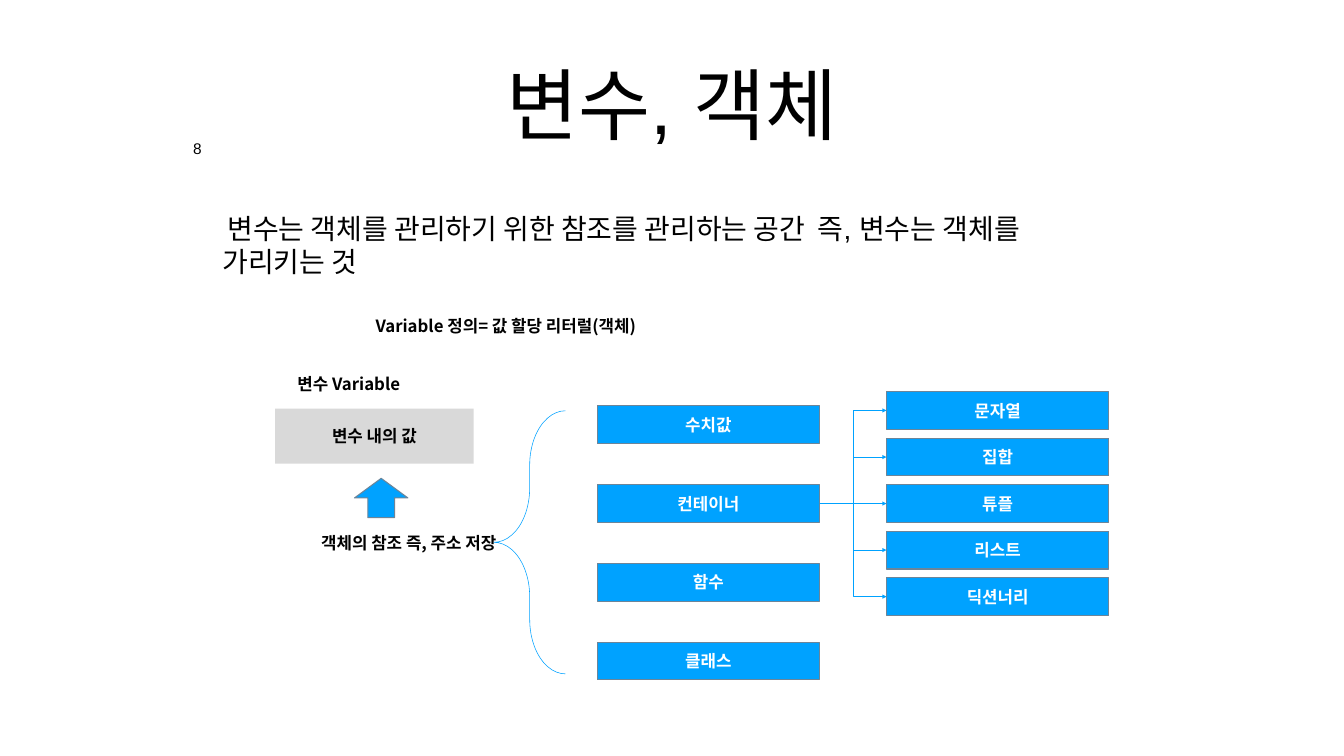
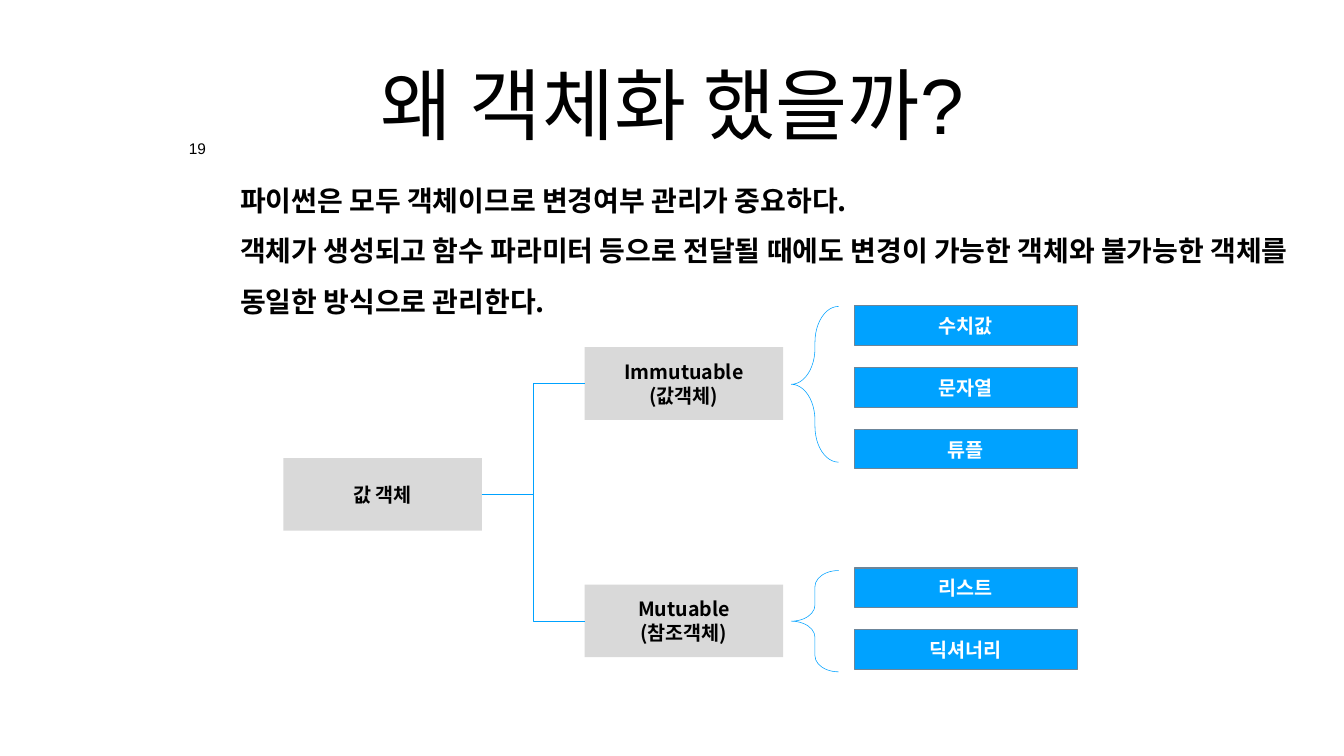
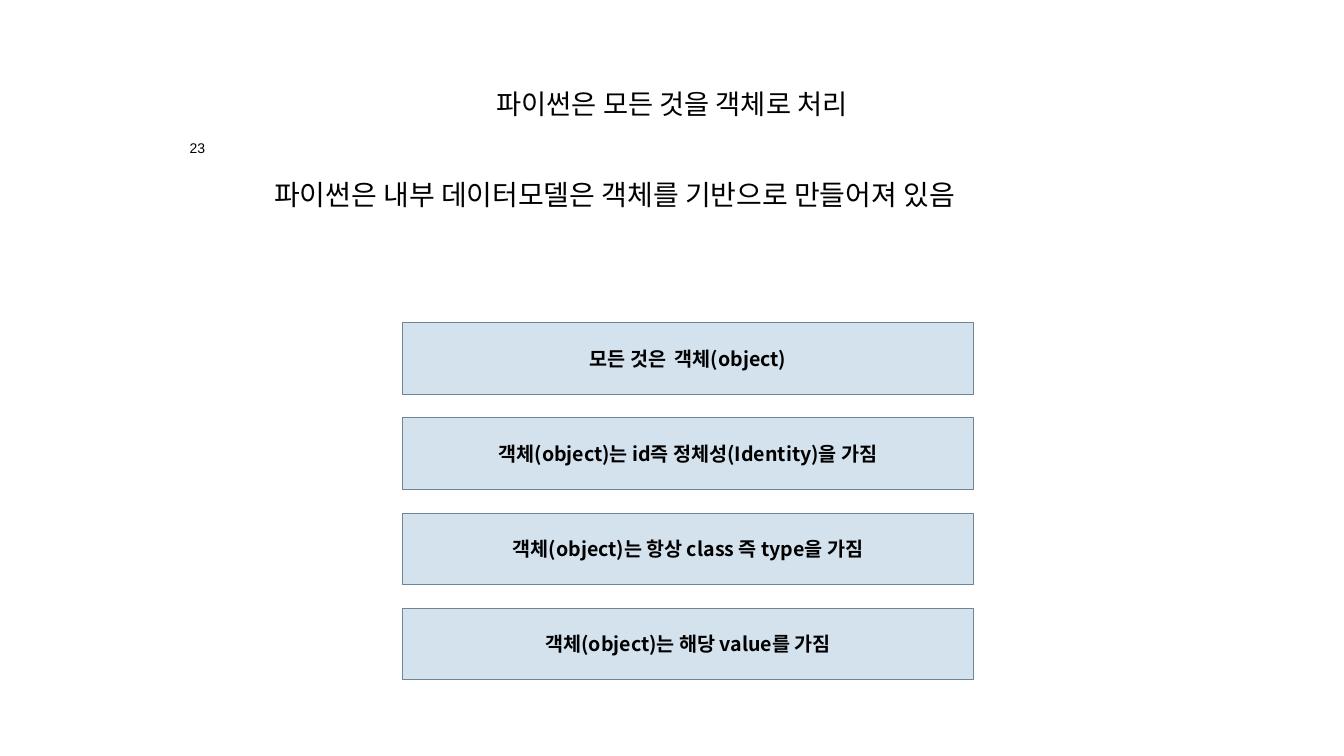
import dataclasses
import typing

import pptx
import pptx.dml.color
import pptx.enum.shapes
import pptx.enum.text
import pptx.oxml.ns
import pptx.util
from lxml import etree

# Slide grid: 80 columns by 45 rows
WIDTH, HEIGHT = pptx.util.Inches(26.67), pptx.util.Inches(15)
COLS, ROWS = 80, 45

# Shared colours and fonts
BLACK, WHITE = "000000", "FFFFFF"
GREY, BLUE, PALE, EDGE = "D9D9D9", "00A2FF", "D4E2ED", "6C8599"
ARIAL, NOTO = "Arial", "Noto Sans CJK KR"

SHAPE = pptx.enum.shapes.MSO_SHAPE
ALIGN = pptx.enum.text.PP_ALIGN
ANCHOR = pptx.enum.text.MSO_ANCHOR


@dataclasses.dataclass(frozen=True)
class Area:
    """A place on the grid, in columns and rows."""
    col: float
    row: float
    cols: float
    rows: float

    def emu(self) -> tuple[int, int, int, int]:
        return (round(self.col * WIDTH / COLS), round(self.row * HEIGHT / ROWS),
                round(self.cols * WIDTH / COLS), round(self.rows * HEIGHT / ROWS))


@dataclasses.dataclass(frozen=True)
class TextStyle:
    size: float
    font: str = NOTO
    color: str = BLACK
    bold: bool = True
    align: typing.Any = ALIGN.CENTER
    anchor: typing.Any = ANCHOR.MIDDLE
    inset: float = 0.1
    inset_y: float = 0.1
    spacing: float = 1.0
    wrap: bool = True


@dataclasses.dataclass(frozen=True)
class BoxStyle:
    fill: str
    text: TextStyle
    line: typing.Optional[str] = EDGE


PLAIN = TextStyle(40, ARIAL, bold=False, align=ALIGN.LEFT, inset=0.08, inset_y=0.08)
TITLE = dataclasses.replace(PLAIN, size=112, align=ALIGN.CENTER)
NUMBER = dataclasses.replace(TITLE, size=22, anchor=ANCHOR.TOP, spacing=0.8, wrap=False)
LABEL = TextStyle(24, anchor=ANCHOR.TOP)

TITLE_AREA = Area(14.4, 1.17, 51.2, 9.96)
NUMBER_AREA = Area(11, 8.25, 1.5, 1.35)


def rgb(color: str) -> pptx.dml.color.RGBColor:
    return pptx.dml.color.RGBColor.from_string(color)


def write(sp, text: str, style: TextStyle) -> None:
    tf = sp.text_frame
    tf.text = text
    tf.word_wrap = style.wrap
    tf.vertical_anchor = style.anchor
    tf.margin_left = tf.margin_right = pptx.util.Inches(style.inset)
    tf.margin_top = tf.margin_bottom = pptx.util.Inches(style.inset_y)
    for p in tf.paragraphs:
        p.alignment = style.align
        p.line_spacing = style.spacing
        for r in p.runs:
            r.font.size = pptx.util.Pt(style.size)
            r.font.bold = style.bold
            r.font.color.rgb = rgb(style.color)
            r.font.name = style.font
            ea = etree.SubElement(r._r.get_or_add_rPr(), pptx.oxml.ns.qn("a:ea"))
            ea.set("typeface", NOTO)


def add_text(slide, area: Area, text: str, style: TextStyle):
    sp = slide.shapes.add_textbox(*area.emu())
    write(sp, text, style)
    return sp


def add_shape(slide, kind, area: Area, fill: typing.Optional[str],
              line: typing.Optional[str], width: float = 1.5):
    sp = slide.shapes.add_shape(kind, *area.emu())
    sp.shadow.inherit = False
    if fill:
        sp.fill.solid()
        sp.fill.fore_color.rgb = rgb(fill)
    else:
        sp.fill.background()
    if line:
        sp.line.color.rgb = rgb(line)
        sp.line.width = pptx.util.Pt(width)
    else:
        sp.line.fill.background()
    return sp


def add_box(slide, area: Area, text: str, style: BoxStyle):
    sp = add_shape(slide, SHAPE.RECTANGLE, area, style.fill, style.line)
    write(sp, text, style.text)
    return sp


def add_stack(slide, first: Area, pitch: float, texts: list[str], style: BoxStyle) -> list:
    """Boxes below each other, one every `pitch` rows."""
    return [add_box(slide, dataclasses.replace(first, row=first.row + i * pitch), text, style)
            for i, text in enumerate(texts)]


def add_brace(slide, area: Area, curve: float) -> None:
    sp = add_shape(slide, SHAPE.LEFT_BRACE, area, None, BLUE, 0.79)
    sp.adjustments[0] = curve


def join(slide, left, right, arrow: bool = False) -> None:
    """Elbow from the right side of one box to the left side of another."""
    cx = slide.shapes.add_connector(pptx.enum.shapes.MSO_CONNECTOR.ELBOW, 0, 0, 0, 0)
    cx.begin_connect(left, 3)
    cx.end_connect(right, 1)
    cx.line.color.rgb = rgb(BLUE)
    cx.line.width = pptx.util.Pt(0.79)
    if arrow:
        tail = etree.SubElement(cx.line._get_or_add_ln(), pptx.oxml.ns.qn("a:tailEnd"))
        tail.set("type", "triangle")
    etree.SubElement(cx._element.spPr, pptx.oxml.ns.qn("a:effectLst"))


def add_slide(prs, title: str, number: str, title_size: float = 112, number_size: float = 22):
    slide = prs.slides.add_slide(prs.slide_layouts[6])
    add_text(slide, TITLE_AREA, title, dataclasses.replace(TITLE, size=title_size))
    add_text(slide, NUMBER_AREA, number, dataclasses.replace(NUMBER, size=number_size))
    return slide


def box_styles(size: float) -> tuple[BoxStyle, BoxStyle]:
    return (BoxStyle(GREY, TextStyle(size), None),
            BoxStyle(BLUE, TextStyle(size, color=WHITE)))


def variables_slide(prs) -> None:
    slide = add_slide(prs, "변수, 객체", "8")
    grey, blue = box_styles(24)
    body = add_text(slide, Area(13, 10.68, 54, 7.8),
                    "변수는 객체를 관리하기 위한 참조를 관리하는 공간  즉, 변수는 객체를 가리키는 것", PLAIN)
    body.text_frame.paragraphs[0]._p.get_or_add_pPr().set("indent", str(pptx.util.Inches(0.1)))

    # Variable and its reference
    add_text(slide, Area(15.3, 18.66, 29.61, 1.5), "Variable 정의= 값 할당 리터럴(객체)",
             dataclasses.replace(LABEL, inset_y=0.05))
    add_text(slide, Area(15.3, 21.96, 10.92, 1.83), "변수 Variable", LABEL)
    add_box(slide, Area(16.38, 24.33, 11.82, 3.27), "변수 내의 값", grey)
    add_shape(slide, SHAPE.UP_ARROW, Area(21.1, 28.47, 3.18, 2.34), BLUE, EDGE)
    add_text(slide, Area(18.75, 31.38, 11.16, 3.03), "객체의 참조 즉, 주소 저장", LABEL)
    add_brace(slide, Area(29.4, 24.45, 4.26, 15.66), 0.76)

    # Kinds of objects, and the containers
    kinds = add_stack(slide, Area(35.55, 24.15, 13.23, 2.25), 4.69,
                      ["수치값", "컨테이너", "함수", "클래스"], blue)
    containers = add_stack(slide, Area(52.77, 23.31, 13.23, 2.25), 2.77,
                           ["문자열", "집합", "튜플", "리스트", "딕션너리"], blue)
    for container in containers:
        join(slide, kinds[1], container, arrow=True)


def why_objects_slide(prs) -> None:
    slide = add_slide(prs, "왜 객체화 했을까?", "19")
    grey, blue = box_styles(28)
    add_text(slide, Area(14, 9.78, 63.54, 9),
             "파이썬은 모두 객체이므로 변경여부 관리가 중요하다.\n"
             "객체가 생성되고 함수 파라미터 등으로 전달될 때에도 변경이 가능한 객체와 "
             "불가능한 객체를 동일한 방식으로 관리한다.",
             TextStyle(40, align=ALIGN.LEFT, anchor=ANCHOR.TOP, inset_y=0.05, spacing=1.5))

    # Tree of value objects
    root = add_box(slide, Area(16.86, 27.27, 11.82, 4.32), "값 객체", grey)
    branches = add_stack(slide, Area(34.8, 20.67, 11.82, 4.32), 14.13,
                         ["Immutuable\n(값객체)", "Mutuable\n(참조객체)"], grey)
    for branch in branches:
        join(slide, root, branch)

    # Types in each branch
    add_brace(slide, Area(47.1, 18.24, 2.82, 9.27), 0.76)
    add_brace(slide, Area(47.1, 33.96, 2.82, 6.03), 0.34)
    for row, texts in ((18.21, ["수치값", "문자열", "튜플"]), (33.81, ["리스트", "딕셔너리"])):
        add_stack(slide, Area(50.88, row, 13.23, 2.34), 3.68, texts, blue)


def everything_slide(prs) -> None:
    slide = add_slide(prs, "파이썬은 모든 것을 객체로 처리", "23", 39, 20)
    body = add_text(slide, Area(13.08, 10.35, 54, 9.3),
                    "파이썬은 내부 데이터모델은 객체를 기반으로 만들어져 있음",
                    dataclasses.replace(PLAIN, anchor=ANCHOR.TOP))
    body.text_frame.paragraphs[0]._p.get_or_add_pPr().set("marL", str(pptx.util.Inches(1)))

    # Statements
    add_stack(slide, Area(23.94, 19.2, 34.02, 4.26), 5.67,
              ["모든 것은  객체(object)",
               "객체(object)는 id즉 정체성(Identity)을 가짐",
               "객체(object)는 항상 class 즉 type을 가짐",
               "객체(object)는 해당 value를 가짐"],
              BoxStyle(PALE, TextStyle(28)))


def main() -> None:
    prs = pptx.Presentation()
    prs.slide_width, prs.slide_height = WIDTH, HEIGHT
    variables_slide(prs)
    why_objects_slide(prs)
    everything_slide(prs)
    prs.save("out.pptx")


if __name__ == "__main__":
    main()
